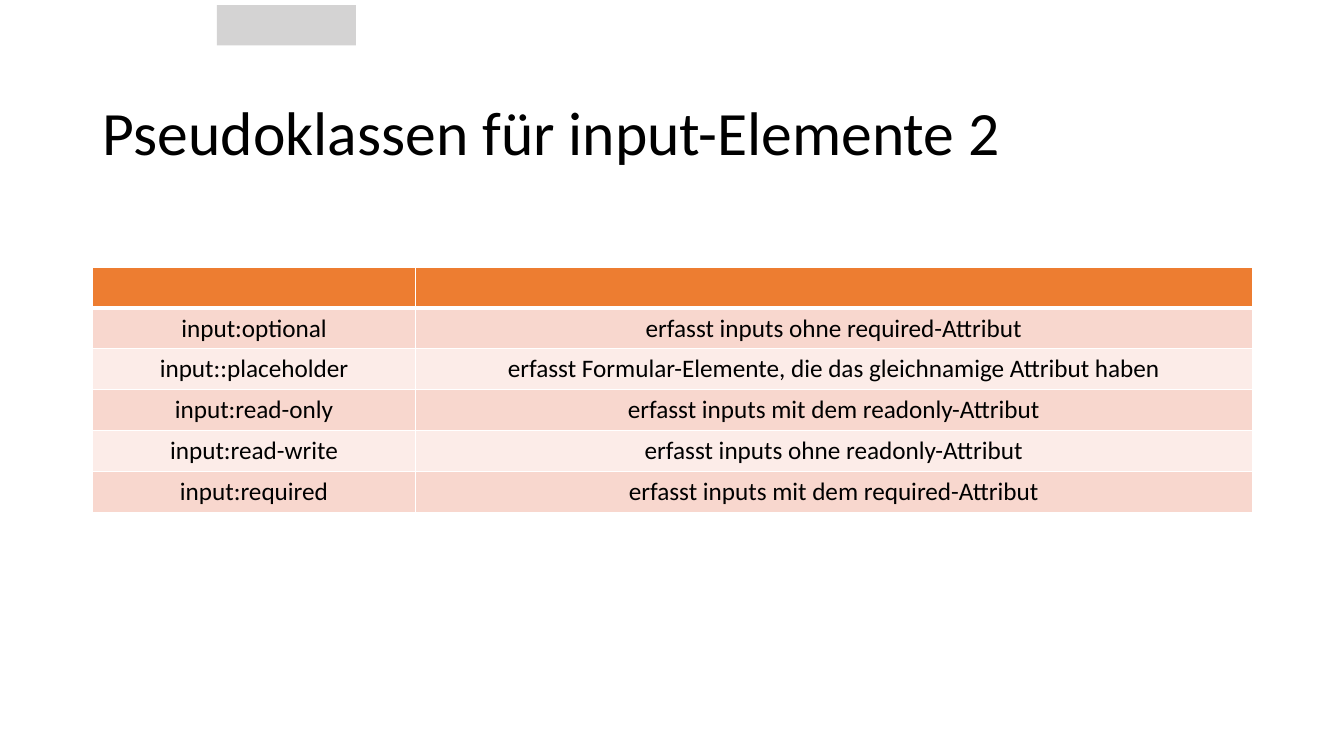
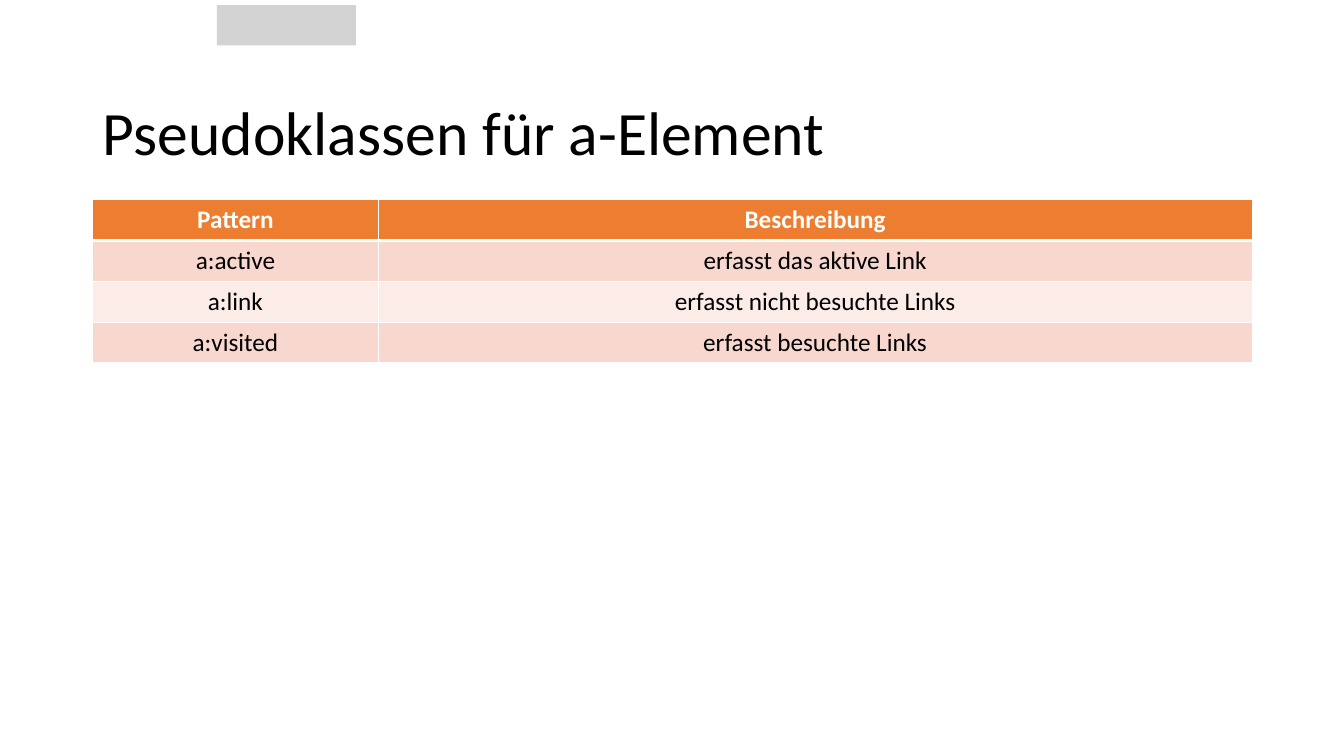
from dataclasses import dataclass

import lxml.etree
import pptx
import pptx.dml.color
import pptx.enum.shapes
import pptx.enum.text
import pptx.oxml.ns
import pptx.presentation
import pptx.slide
import pptx.table
import pptx.text.text
import pptx.util

SCALE = 9144  # EMU per px, 100 px to the inch
FONT = "Calibri"
HUES = {
    "head": "ED7D31",
    "odd": "F8D7CE",
    "even": "FCECE8",
    "badge": "D4D3D3",
    "white": "FFFFFF",
    "black": "000000",
}


@dataclass
class Box:
    left: int
    top: int
    width: int
    height: int

    def emu(self) -> list[pptx.util.Emu]:
        return [px(n) for n in (self.left, self.top, self.width, self.height)]


@dataclass
class Page:
    title: str
    grid: Box
    split: int  # width of the first column
    rows: list[tuple[str, str]]  # header first


BADGE = Box(215, 5, 138, 40)
TITLE = Box(92, 50, 1150, 135)

PAGES = [
    Page("Pseudoklassen für input-Elemente 2", Box(92, 265, 1150, 243), 320, [
        ("", ""),
        ("input:optional", "erfasst inputs ohne required-Attribut"),
        ("input::placeholder",
         "erfasst Formular-Elemente, die das gleichnamige Attribut haben"),
        ("input:read-only", "erfasst inputs mit dem readonly-Attribut"),
        ("input:read-write", "erfasst inputs ohne readonly-Attribut"),
        ("input:required", "erfasst inputs mit dem required-Attribut"),
    ]),
    Page("Pseudoklassen für a-Element", Box(92, 198, 1150, 162), 283, [
        ("Pattern", "Beschreibung"),
        ("a:active", "erfasst das aktive Link"),
        ("a:link", "erfasst nicht besuchte Links"),
        ("a:visited", "erfasst besuchte Links"),
    ]),
]


def px(count: int) -> pptx.util.Emu:
    return pptx.util.Emu(count * SCALE)


def hue(name: str) -> pptx.dml.color.RGBColor:
    return pptx.dml.color.RGBColor.from_string(HUES[name])


def style(para: pptx.text.text._Paragraph, size: int, color: str,
          bold: bool = False) -> None:
    font = para.font
    font.name, font.size, font.bold = FONT, pptx.util.Pt(size), bold
    font.color.rgb = hue(color)


def add_badge(slide: pptx.slide.Slide) -> None:
    badge = slide.shapes.add_shape(
        pptx.enum.shapes.MSO_SHAPE.RECTANGLE, *BADGE.emu())
    badge.shadow.inherit = False
    badge.fill.solid()
    badge.fill.fore_color.rgb = hue("badge")
    badge.line.fill.background()


def set_title(slide: pptx.slide.Slide, text: str) -> None:
    title = slide.shapes.title
    title.left, title.top, title.width, title.height = TITLE.emu()
    frame = title.text_frame
    frame.text = text
    frame.word_wrap = True
    frame.auto_size = pptx.enum.text.MSO_AUTO_SIZE.NONE
    frame.vertical_anchor = pptx.enum.text.MSO_ANCHOR.MIDDLE
    frame.margin_left = frame.margin_right = px(10)
    frame.margin_top, frame.margin_bottom = px(39), px(5)
    para = frame.paragraphs[0]
    para.alignment = pptx.enum.text.PP_ALIGN.LEFT
    para.line_spacing = 0.9
    style(para, 44, "black")


def add_edges(cell: pptx.table._Cell, row: int) -> None:
    # White rules, with a thick one below the header
    props = cell._tc.get_or_add_tcPr()
    name = pptx.oxml.ns.qn
    thick = {"lnT": 3 if row == 1 else 1, "lnB": 3 if row == 0 else 1}
    for side in ("lnL", "lnR", "lnT", "lnB"):
        width = pptx.util.Pt(thick.get(side, 1))
        edge = lxml.etree.SubElement(props, name(f"a:{side}"), w=str(width))
        fill = lxml.etree.SubElement(edge, name("a:solidFill"))
        lxml.etree.SubElement(fill, name("a:srgbClr"), val=HUES["white"])


def fill_cell(cell: pptx.table._Cell, text: str, row: int) -> None:
    head = row == 0
    add_edges(cell, row)
    cell.fill.solid()
    cell.fill.fore_color.rgb = hue(
        "head" if head else "odd" if row % 2 else "even")
    cell.vertical_anchor = pptx.enum.text.MSO_ANCHOR.MIDDLE
    if text:
        cell.text = text
    para = cell.text_frame.paragraphs[0]
    para.alignment = pptx.enum.text.PP_ALIGN.CENTER
    style(para, 18, "white" if head else "black", head)


def add_grid(slide: pptx.slide.Slide, page: Page) -> None:
    table = slide.shapes.add_table(len(page.rows), 2, *page.grid.emu()).table
    table.columns[0].width = px(page.split)
    table.columns[1].width = px(page.grid.width - page.split)
    for row, texts in enumerate(page.rows):
        for col, text in enumerate(texts):
            fill_cell(table.cell(row, col), text, row)


def add_page(deck: pptx.presentation.Presentation, page: Page) -> None:
    slide = deck.slides.add_slide(deck.slide_layouts.get_by_name("Title Only"))
    add_badge(slide)
    set_title(slide, page.title)
    add_grid(slide, page)


def main() -> None:
    deck = pptx.Presentation()
    deck.slide_width, deck.slide_height = px(1333), px(750)
    for page in PAGES:
        add_page(deck, page)
    deck.save("out.pptx")


if __name__ == "__main__":
    main()
